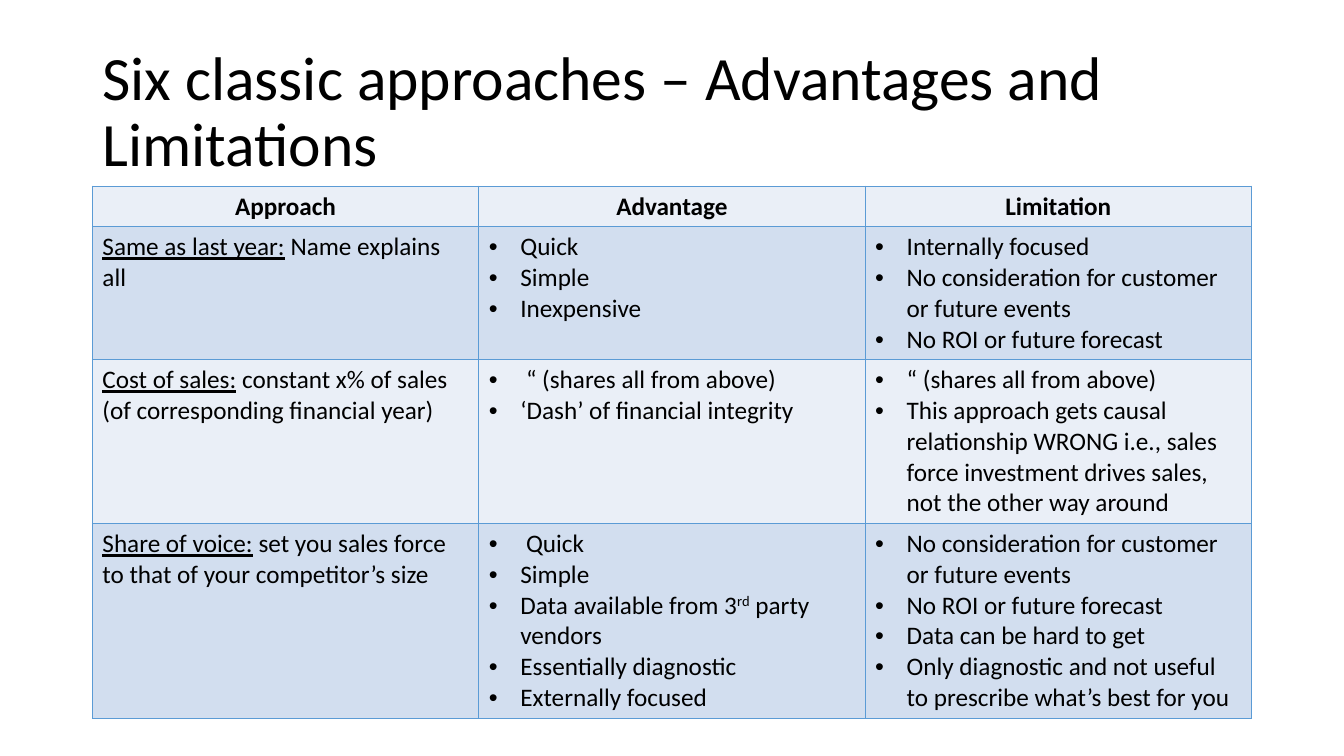
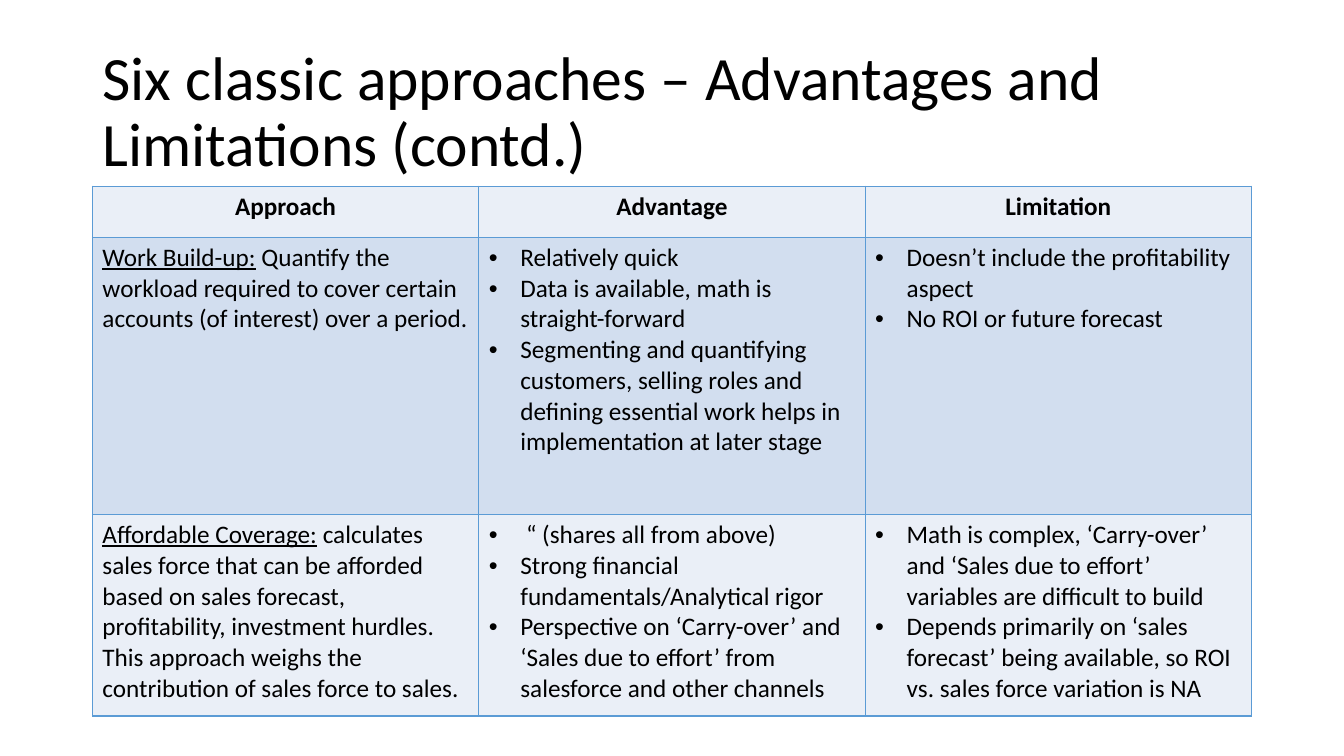
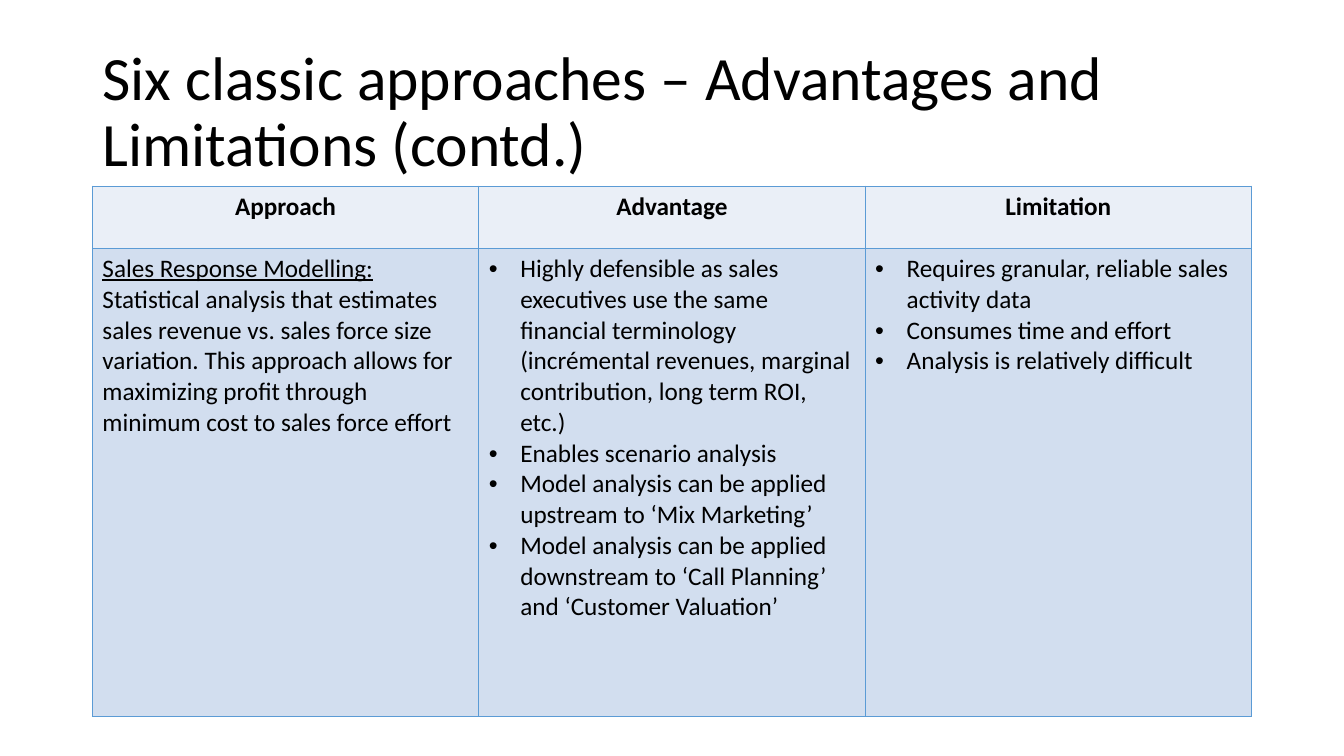
from dataclasses import dataclass

from lxml import etree
from pptx import Presentation
from pptx.dml.color import RGBColor
from pptx.enum import text
from pptx.oxml import ns
from pptx.util import Pt


@dataclass(frozen=True)
class Theme:
    font: str = "Calibri"
    ink: str = "000000"
    border: str = "5B9BD5"
    bands: tuple = ("EAEFF7", "D2DEEF")
    title_size: int = 44
    body_size: int = 18


THEME = Theme()
LEFT, WIDTH = 66, 828
TITLE_TOP, TITLE_HEIGHT = 28.75, 104.4
TABLE_TOP = 133
BULLET_INDENT = 22.5
HEADERS = ("Approach", "Advantage", "Limitation")
TITLE = "Six classic approaches – Advantages and Limitations"

# Each row: (approach name, explanation), advantages, limitations.
# A bullet given as a tuple holds (text, superscript, text).
SLIDES = (
    (TITLE, (29, 95, 117, 139), (
        (("Same as last year:", " Name explains all"),
         ("Quick", "Simple", "Inexpensive"),
         ("Internally focused",
          "No consideration for customer or future events",
          "No ROI or future forecast")),
        (("Cost of sales:",
          " constant x% of sales (of corresponding financial year)"),
         (" “ (shares all from above)", "‘Dash’ of financial integrity"),
         ("“ (shares all from above)",
          "This approach gets causal relationship WRONG i.e., sales force "
          "investment drives sales, not the other way around")),
        (("Share of voice:",
          " set you sales force to that of your competitor’s size"),
         (" Quick", "Simple",
          ("Data available from 3", "rd", " party vendors"),
          "Essentially diagnostic", "Externally focused"),
         ("No consideration for customer or future events",
          "No ROI or future forecast",
          "Data can be hard to get",
          "Only diagnostic and not useful to prescribe what’s best for you")),
    )),
    (TITLE + " (contd.)", (36.5, 198, 144), (
        (("Work Build-up:",
          " Quantify the workload required to cover certain accounts "
          "(of interest) over a period."),
         ("Relatively quick",
          "Data is available, math is straight-forward",
          "Segmenting and quantifying customers, selling roles and defining "
          "essential work helps in implementation at later stage"),
         ("Doesn’t include the profitability aspect",
          "No ROI or future forecast")),
        (("Affordable Coverage:",
          " calculates sales force that can be afforded based on sales "
          "forecast, profitability, investment hurdles. This approach weighs "
          "the contribution of sales force to sales."),
         (" “ (shares all from above)",
          "Strong financial fundamentals/Analytical rigor",
          "Perspective on ‘Carry-over’ and ‘Sales due to effort’ from "
          "salesforce and other channels"),
         ("Math is complex, ‘Carry-over’ and ‘Sales due to effort’ variables "
          "are difficult to build",
          "Depends primarily on ‘sales forecast’ being available, so ROI vs. "
          "sales force variation is NA")),
    )),
    (TITLE + " (contd.)", (44.5, 334.5), (
        (("Sales Response Modelling:",
          " Statistical analysis that estimates sales revenue vs. sales force "
          "size variation. This approach allows for maximizing profit through "
          "minimum cost to sales force effort"),
         ("Highly defensible as sales executives use the same financial "
          "terminology (incrémental revenues, marginal contribution, long "
          "term ROI, etc.)",
          "Enables scenario analysis",
          "Model analysis can be applied upstream to ‘Mix Marketing’",
          "Model analysis can be applied downstream to ‘Call Planning’ and "
          "‘Customer Valuation’"),
         ("Requires granular, reliable sales activity data",
          "Consumes time and effort",
          "Analysis is relatively difficult")),
    )),
)


def style_paragraph(paragraph, size, bold=False):
    font = paragraph.font
    font.name = THEME.font
    font.size = Pt(size)
    font.bold = bold
    font.color.rgb = RGBColor.from_string(THEME.ink)


def add_run(paragraph, words):
    run = paragraph.add_run()
    run.text = words
    return run


def add_title(slide, words):
    box = slide.shapes.add_textbox(Pt(LEFT), Pt(TITLE_TOP), Pt(WIDTH), Pt(TITLE_HEIGHT))
    frame = box.text_frame
    frame.word_wrap = True
    frame.vertical_anchor = text.MSO_ANCHOR.MIDDLE
    paragraph = frame.paragraphs[0]
    paragraph.line_spacing = 0.9
    add_run(paragraph, words)
    style_paragraph(paragraph, THEME.title_size)


def add_borders(cell):
    properties = cell._tc.get_or_add_tcPr()
    for side in ("lnL", "lnR", "lnT", "lnB"):
        line = etree.SubElement(properties, ns.qn(f"a:{side}"), w=str(Pt(1)))
        fill = etree.SubElement(line, ns.qn("a:solidFill"))
        etree.SubElement(fill, ns.qn("a:srgbClr"), val=THEME.border)


def add_bullet(paragraph):
    properties = paragraph._p.get_or_add_pPr()
    properties.set("marL", str(Pt(BULLET_INDENT)))
    properties.set("indent", str(-Pt(BULLET_INDENT)))
    etree.SubElement(properties, ns.qn("a:buFont"), typeface="Arial")
    etree.SubElement(properties, ns.qn("a:buChar"), char="•")


def fill_header(cell, words):
    paragraph = cell.text_frame.paragraphs[0]
    paragraph.alignment = text.PP_ALIGN.CENTER
    add_run(paragraph, words)
    style_paragraph(paragraph, THEME.body_size, bold=True)


def fill_approach(cell, approach):
    name, explanation = approach
    paragraph = cell.text_frame.paragraphs[0]
    add_run(paragraph, name).font.underline = True
    add_run(paragraph, explanation)
    style_paragraph(paragraph, THEME.body_size)


def fill_bullets(cell, bullets):
    frame = cell.text_frame
    for index, bullet in enumerate(bullets):
        paragraph = frame.add_paragraph() if index else frame.paragraphs[0]
        add_bullet(paragraph)
        parts = (bullet,) if isinstance(bullet, str) else bullet
        for position, words in enumerate(parts):
            run = add_run(paragraph, words)
            if position == 1:
                run._r.get_or_add_rPr().set("baseline", "30000")
        style_paragraph(paragraph, THEME.body_size)


def add_comparison(slide, heights, rows):
    frame = slide.shapes.add_table(len(heights), len(HEADERS), Pt(LEFT), Pt(TABLE_TOP),
                                   Pt(WIDTH), Pt(sum(heights)))
    table = frame.table
    table.first_row = table.horz_banding = False
    for column in table.columns:
        column.width = Pt(WIDTH / len(HEADERS))
    for index, height in enumerate(heights):
        table.rows[index].height = Pt(height)
        for cell in table.rows[index].cells:
            add_borders(cell)
            cell.fill.solid()
            cell.fill.fore_color.rgb = RGBColor.from_string(THEME.bands[index % 2])
    for column, header in enumerate(HEADERS):
        fill_header(table.cell(0, column), header)
    for index, (approach, advantages, limitations) in enumerate(rows, start=1):
        fill_approach(table.cell(index, 0), approach)
        fill_bullets(table.cell(index, 1), advantages)
        fill_bullets(table.cell(index, 2), limitations)


def main():
    presentation = Presentation()
    presentation.slide_width, presentation.slide_height = Pt(960), Pt(540)
    for title, heights, rows in SLIDES:
        slide = presentation.slides.add_slide(presentation.slide_layouts[6])
        add_title(slide, title)
        add_comparison(slide, heights, rows)
    presentation.save("out.pptx")


if __name__ == "__main__":
    main()
